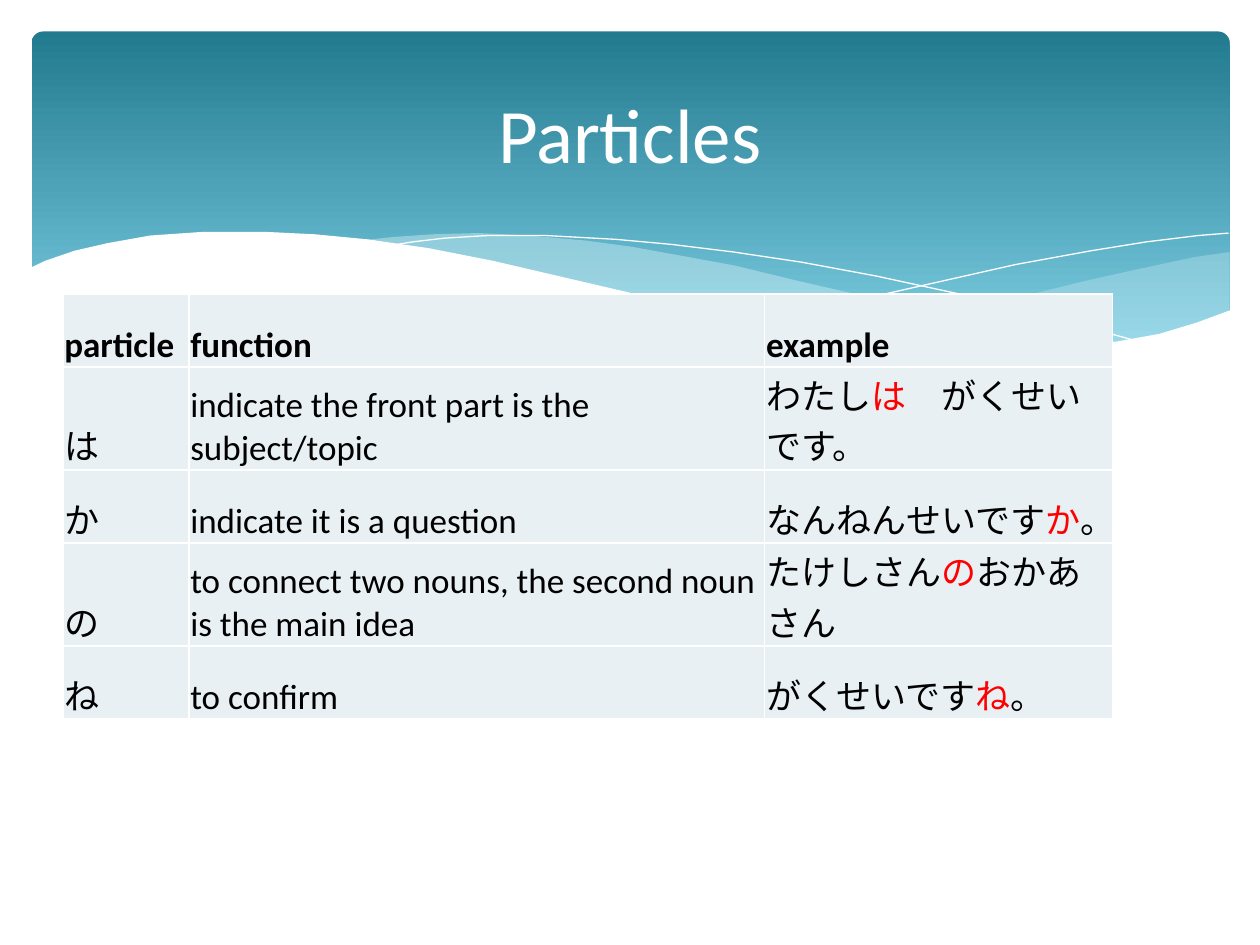
from lxml import etree
from pptx import Presentation
from pptx.dml.color import RGBColor
from pptx.enum.shapes import MSO_SHAPE
from pptx.enum.text import MSO_ANCHOR, PP_ALIGN
from pptx.oxml.ns import qn
from pptx.util import Pt

ROUNDED = MSO_SHAPE.ROUNDED_RECTANGLE
MIDDLE, BOTTOM = MSO_ANCHOR.MIDDLE, MSO_ANCHOR.BOTTOM
LEFT, CENTER = PP_ALIGN.LEFT, PP_ALIGN.CENTER

THEME = {
    "font": "Calibri", "title_size": 44, "cell_size": 20,
    "white": "FFFFFF", "text": "000000", "accent": "FF0000",
    "cell": "E8F0F4", "wave": "DEF5FA",
    "banner_top": "227A8F", "banner_bottom": "7ACBE0",
}

TITLE = "Particles"
HEADER = ("particle", "function", "example")
PARTICLES = [
    ("は", "indicate the front part is the subject/topic", "わたしは　がくせいです。"),
    ("か", "indicate it is a question", "なんねんせいですか。"),
    ("の", "to connect two nouns, the second noun is the main idea", "たけしさんのおかあさん"),
    ("ね", "to confirm", "がくせいですね。"),
]
COLUMN_WIDTHS = (72, 329, 198.7)
ROW_HEIGHTS = (41.8, 41.8, 41.8, 57.6, 41.8)

RIGHT_WAVE = [
    (702.7, 144), (682.6, 146.9), (652.3, 153.4), (619.9, 160.6), (579.6, 170.6),
    (542.2, 178.6), (508.3, 185), (475.9, 190.8), (507.6, 195.1), (536.4, 198),
    (570.2, 199.4), (601.2, 200), (626.4, 198), (645.8, 194.4), (668.2, 189.4),
    (683.3, 185), (693.4, 181.4), (702.7, 177.8),
]
BROAD_WAVE = [
    (643, 196.6), (623.5, 193.7), (581, 187.2), (533.5, 177.8), (481, 166.3),
    (452.9, 159.8), (420.5, 151.9), (389.5, 146.2), (361.4, 141.1), (334.8, 137.5),
    (302.4, 134.6), (273.6, 133.2), (247.7, 133.9), (225.4, 135.4), (205.9, 137.5),
    (246.2, 143.3), (275.8, 149), (323.3, 159.8), (381.6, 172.8), (420.5, 181.4),
    (456.5, 187.9), (489.6, 193), (519.8, 197.3), (547.9, 199.4), (573.1, 200.2),
    (603.4, 200.2), (630.7, 198),
]
FALLING_LINE = [
    (222.5, 140.4), (236.2, 138.2), (254.2, 136.1), (278.6, 134.6), (311.8, 134.6),
    (352.1, 136.8), (383.8, 139.7), (419, 144), (457.9, 149.8), (500.4, 157.7),
    (547.2, 167.8), (598.3, 180.7), (653, 195.8),
]
RISING_LINE = [
    (441.4, 185), (470.2, 177.1), (500.4, 169.2), (538.6, 160.6), (580.3, 151.2),
    (623.5, 143.3), (655.2, 138.2), (684.7, 134.6), (702, 133.2),
]
WHITE_WAVE = [
    (703.4, 177.1), (684, 184.3), (662.4, 190.8), (638.6, 195.1), (612, 198),
    (582.5, 199.4), (547.9, 198), (509.8, 194.4), (466.6, 188.6), (434.2, 182.9),
    (399.6, 176.4), (362.2, 167.8), (321.8, 158.4), (281.5, 149), (244.8, 141.8),
    (210.2, 136.8), (180, 133.9), (151.9, 132.5), (115.9, 132.5), (85.7, 134.6),
    (61.2, 139), (42.5, 143.3), (25.9, 149), (16.6, 153.4), (16.6, 236.9), (703.4, 236.9),
]


def color(name):
    return RGBColor.from_string(THEME[name])


def write_text(frame, text, size="cell_size", ink="text", bold=False,
               align=LEFT, highlight=None):
    para = frame.paragraphs[0]
    para.alignment = align
    parts = text.partition(highlight) if highlight else (text,)
    for part in filter(None, parts):
        span = para.add_run()
        span.text = part
        span.font.name = THEME["font"]
        span.font.size = Pt(THEME[size])
        span.font.bold = bold
        span.font.color.rgb = color("accent" if part == highlight else ink)


def add_outline(page, points, fill=None, opacity=100):
    points = [(Pt(x), Pt(y)) for x, y in points]
    builder = page.shapes.build_freeform(*points[0], scale=1.0)
    builder.add_line_segments(points[1:], close=fill is not None)
    shape = builder.convert_to_shape()
    shape.shadow.inherit = False
    if fill is None:
        shape.fill.background()
        shape.line.color.rgb = color("white")
        shape.line.width = Pt(0)
        return
    shape.line.fill.background()
    shape.fill.solid()
    shape.fill.fore_color.rgb = color(fill)
    if opacity < 100:
        tint = shape.fill._xPr.find(qn("a:solidFill"))[0]
        etree.SubElement(tint, qn("a:alpha"), val=str(opacity * 1000))


def add_banner(page):
    banner = page.shapes.add_shape(ROUNDED, Pt(18), Pt(18), Pt(684.7), Pt(194.4))
    banner.adjustments[0] = 0.034
    banner.shadow.inherit = False
    banner.line.fill.background()
    banner.fill.gradient()
    banner.fill.gradient_angle = 270
    stops = zip(banner.fill.gradient_stops, ("banner_top", "banner_bottom"), (0, 0.9))
    for stop, name, position in stops:
        stop.color.rgb = color(name)
        stop.position = position
    add_outline(page, RIGHT_WAVE, "wave", 29)
    add_outline(page, BROAD_WAVE, "wave", 40)
    add_outline(page, FALLING_LINE)
    add_outline(page, RISING_LINE)
    add_outline(page, WHITE_WAVE, "white")


def style_cell(cell):
    cell.vertical_anchor = BOTTOM
    cell.margin_left = cell.margin_right = cell.margin_top = Pt(0.75)
    cell.margin_bottom = Pt(0)
    properties = cell._tc.get_or_add_tcPr()
    for side in ("lnL", "lnR", "lnT", "lnB"):
        border = etree.SubElement(properties, qn(f"a:{side}"), w=str(Pt(1)))
        paint = etree.SubElement(border, qn("a:solidFill"))
        etree.SubElement(paint, qn("a:srgbClr"), val=THEME["white"])
    cell.fill.solid()
    cell.fill.fore_color.rgb = color("cell")


def add_particle_table(page):
    rows = [HEADER, *PARTICLES]
    table = page.shapes.add_table(
        len(rows), len(HEADER), Pt(36), Pt(168),
        Pt(sum(COLUMN_WIDTHS)), Pt(sum(ROW_HEIGHTS))).table
    table.first_row = table.horz_banding = False
    for column, width in zip(table.columns, COLUMN_WIDTHS):
        column.width = Pt(width)
    for index, (row, height, texts) in enumerate(zip(table.rows, ROW_HEIGHTS, rows)):
        row.height = Pt(height)
        for position, (cell, text) in enumerate(zip(row.cells, texts)):
            is_example = index > 0 and position == 2
            style_cell(cell)
            write_text(cell.text_frame, text, bold=index == 0,
                       highlight=texts[0] if is_example else None)


def add_title(page):
    box = page.shapes.add_textbox(Pt(36), Pt(26.6), Pt(648), Pt(98.6))
    box.text_frame.word_wrap = True
    box.text_frame.vertical_anchor = MIDDLE
    write_text(box.text_frame, TITLE, size="title_size", ink="white", align=CENTER)


def main():
    deck = Presentation()
    deck.slide_width, deck.slide_height = Pt(720), Pt(540)
    page = deck.slides.add_slide(deck.slide_layouts[6])
    add_banner(page)
    add_particle_table(page)
    add_title(page)
    deck.save("out.pptx")


if __name__ == "__main__":
    main()
